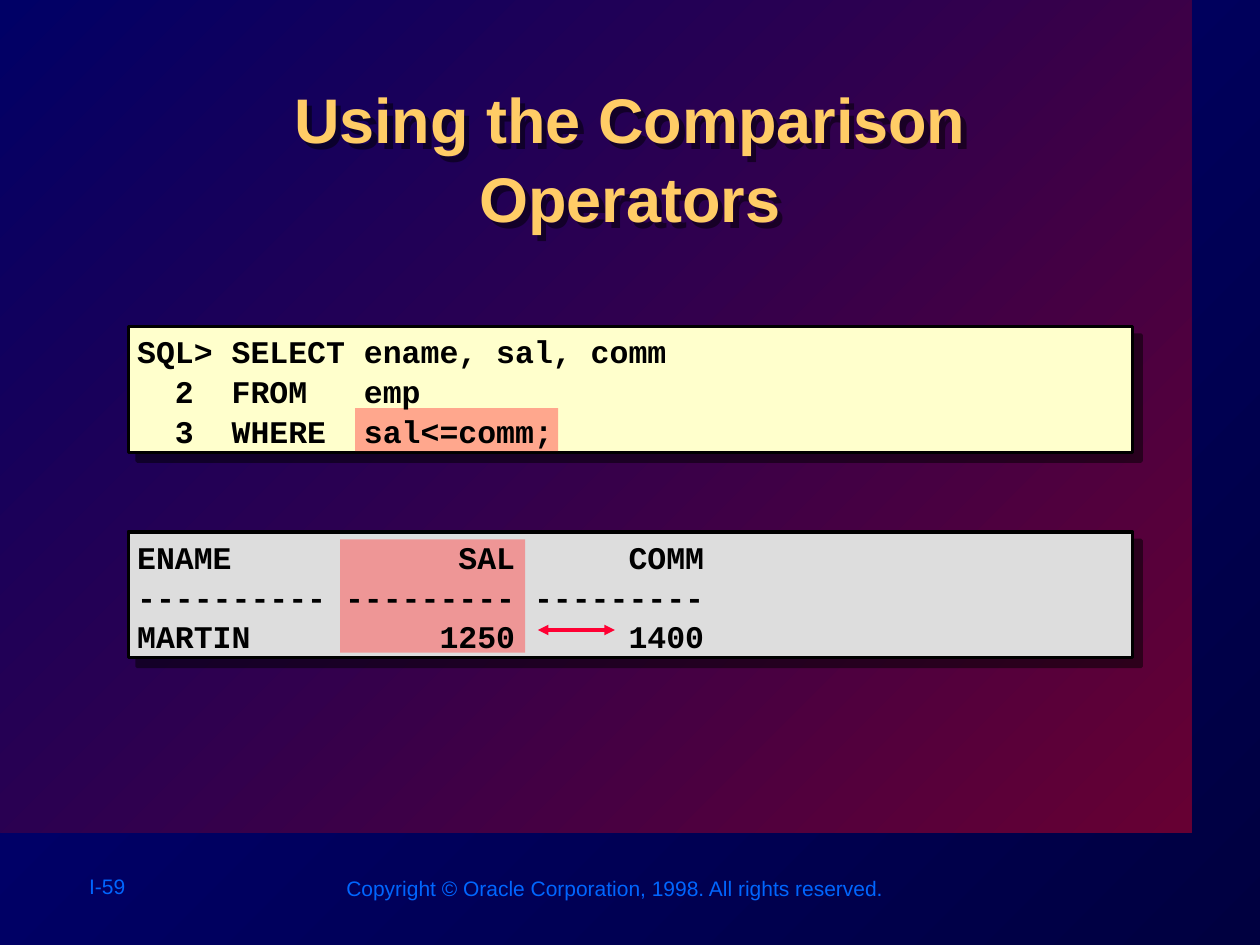
"""Build a slide on SQL comparison operators: a query, its result and the matching highlights."""
from dataclasses import dataclass

from lxml import etree
from pptx import Presentation
from pptx.dml.color import RGBColor
from pptx.enum.shapes import MSO_CONNECTOR, MSO_SHAPE
from pptx.enum.text import MSO_ANCHOR, MSO_AUTO_SIZE, PP_ALIGN
from pptx.oxml.ns import qn
from pptx.util import Pt

RECT, STRAIGHT = MSO_SHAPE.RECTANGLE, MSO_CONNECTOR.STRAIGHT
TOP, MIDDLE = MSO_ANCHOR.TOP, MSO_ANCHOR.MIDDLE
LEFT, CENTER = PP_ALIGN.LEFT, PP_ALIGN.CENTER
NO_FIT = MSO_AUTO_SIZE.NONE


@dataclass(frozen=True)
class Theme:
    sans: str = "Arial"
    mono: str = "Courier New"
    title_size: int = 36
    code_size: int = 18
    footer_size: int = 12
    title: str = "FFCC66"
    ink: str = "000000"
    footer: str = "0066FF"
    highlight: str = "FF5050"
    arrow: str = "FF0033"
    page: tuple = ("000080", "000040")
    field: tuple = ("000066", "660033")


THEME = Theme()
TITLE = "Using the Comparison Operators"
FOOTERS = [
    ("I-59", (43.9, 495.4, 76.3, 21.6)),
    ("Copyright © Oracle Corporation, 1998. All rights reserved.", (190.8, 496.8, 322.6, 21.6)),
]
PANELS = [
    {"fill": "FFFFCC", "highlight": (203, 46.8, 115.9, 24.5),
     "lines": ["SQL> SELECT ename, sal, comm",
               "  2  FROM   emp",
               "  3  WHERE  sal<=comm;"]},
    {"fill": "DDDDDD", "highlight": (194.4, 4.3, 105.8, 64.8),
     "lines": ["ENAME            SAL      COMM",
               "---------- --------- ---------",
               "MARTIN          1250      1400"]},
]
PANEL_LEFT, PANEL_TOP, PANEL_WIDTH, PANEL_HEIGHT = 73.4, 186.5, 573.8, 72
PANEL_PITCH = 117.4
ARROW = (307.4, 360, 351.4, 360)


def pts(values):
    return [Pt(v) for v in values]


def add_shadow(shape, dist):
    shape.shadow.inherit = False
    effects = shape.element.spPr.find(qn("a:effectLst"))
    shadow = etree.SubElement(effects, qn("a:outerShdw"), dist=str(Pt(dist)),
                              dir="2700000", algn="ctr", rotWithShape="0")
    color = etree.SubElement(shadow, qn("a:srgbClr"), val=THEME.ink)
    etree.SubElement(color, qn("a:alpha"), val="50000")


def fill_gradient(fill, colors):
    fill.gradient()
    fill.gradient_angle = 315
    for stop, color in zip(fill.gradient_stops, colors):
        stop.color.rgb = RGBColor.from_string(color)


def add_rect(s, box, fill=None, line=None, alpha=None):
    sp = s.shapes.add_shape(RECT, *pts(box))
    sp.shadow.inherit = False
    if fill:
        sp.fill.solid()
        sp.fill.fore_color.rgb = RGBColor.from_string(fill)
    if alpha:
        color = sp.element.spPr.find(qn("a:solidFill")).find(qn("a:srgbClr"))
        etree.SubElement(color, qn("a:alpha"), val=str(alpha * 1000))
    if line:
        sp.line.color.rgb = RGBColor.from_string(line)
        sp.line.width = Pt(2)
    else:
        sp.line.fill.background()
    return sp


def write(sp, lines, *, font, size, color, bold=False, align=LEFT, anchor=TOP,
          wrap=True, spacing=1.0):
    tf = sp.text_frame
    tf.auto_size = NO_FIT
    tf.word_wrap = wrap
    tf.vertical_anchor = anchor
    for i, line in enumerate(lines):
        p = tf.add_paragraph() if i else tf.paragraphs[0]
        p.alignment = align
        p.line_spacing = spacing
        p.space_before = Pt(0)
        r = p.add_run()
        r.text = line
        r.font.name, r.font.size, r.font.bold = font, Pt(size), bold
        r.font.color.rgb = RGBColor.from_string(color)


def add_panel(s, top, panel):
    box = add_rect(s, (PANEL_LEFT, top, PANEL_WIDTH, PANEL_HEIGHT), panel["fill"], THEME.ink)
    add_shadow(box, 7.1)
    left, offset, width, height = panel["highlight"]
    add_rect(s, (left, top + offset, width, height), THEME.highlight, alpha=50)
    code = s.shapes.add_textbox(*pts((PANEL_LEFT - 2.1, top - 0.7, 576, 74.2)))
    write(code, panel["lines"], font=THEME.mono, size=THEME.code_size, color=THEME.ink,
          bold=True, anchor=MIDDLE, spacing=1.05)


def add_arrow(s, ends):
    line = s.shapes.add_connector(STRAIGHT, *pts(ends))
    line.line.color.rgb = RGBColor.from_string(THEME.arrow)
    line.line.width = Pt(2)
    ln = line.line._get_or_add_ln()
    for tag in ("a:headEnd", "a:tailEnd"):
        etree.SubElement(ln, qn(tag), type="triangle")
    etree.SubElement(line.element.spPr, qn("a:effectLst"))


def main():
    prs = Presentation()
    prs.slide_width, prs.slide_height = Pt(720), Pt(540)
    s = prs.slides.add_slide(prs.slide_layouts[5])
    fill_gradient(s.background.fill, THEME.page)

    title = s.shapes.title
    field = add_rect(s, (0, 0, 681, 475.5))
    fill_gradient(field.fill, THEME.field)
    title.element.addprevious(field.element)

    title.left, title.top, title.width, title.height = pts((72.7, 40.3, 574.6, 69.1))
    write(title, [TITLE], font=THEME.sans, size=THEME.title_size, color=THEME.title,
          bold=True, align=CENTER, spacing=1.05)
    add_shadow(title, 4.5)

    for text, box in FOOTERS:
        write(s.shapes.add_textbox(*pts(box)), [text], font=THEME.sans,
              size=THEME.footer_size, color=THEME.footer, wrap=False)
    for i, panel in enumerate(PANELS):
        add_panel(s, PANEL_TOP + i * PANEL_PITCH, panel)
    add_arrow(s, ARROW)
    prs.save("out.pptx")


if __name__ == "__main__":
    main()
